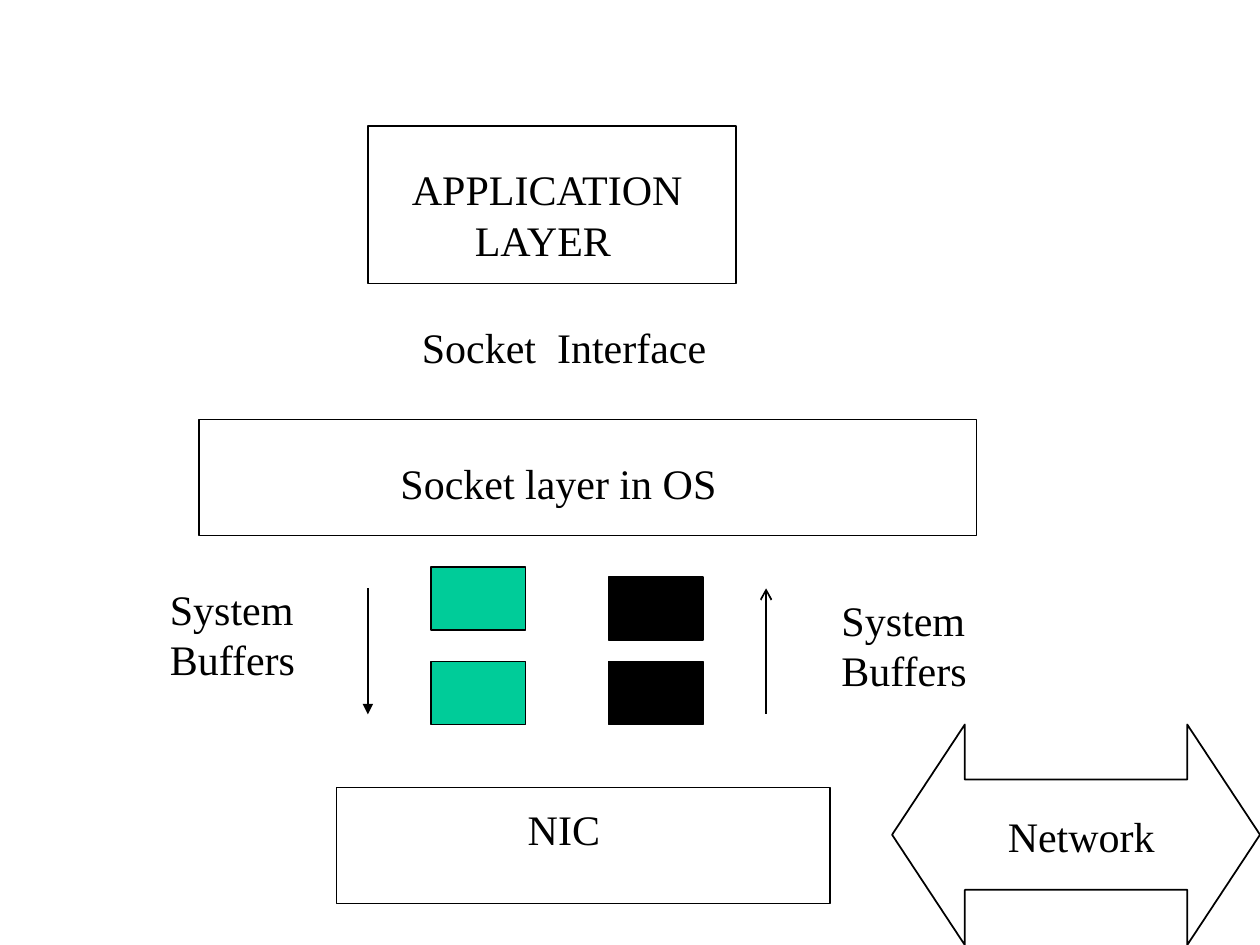
from pptx import Presentation
from pptx.util import Inches, Pt
from pptx.dml.color import RGBColor
from pptx.enum.shapes import MSO_SHAPE, MSO_CONNECTOR
from pptx.enum.text import MSO_AUTO_SIZE
from pptx.oxml.ns import qn
from lxml.etree import SubElement

INK = {"black": "000000", "green": "00CC99"}
FONT = "Times New Roman"

LAYERS = [
    (2.92, 1, 2.92, 1.25),
    (1.58, 3.33, 6.17, 0.92),
    (2.67, 6.25, 3.92, 0.92),
]
NETWORK = (7.08, 5.75, 2.92, 1.75)
BUFFER = (0.75, 0.5)
STACKS = [(3.42, (4.5, 5.25), "green"), (4.83, (4.58, 5.25), "black")]
FLOWS = [(2.92, "tailEnd", "triangle"), (6.08, "headEnd", "arrow")]
FLOW_TOP, FLOW_END = 4.67, 5.67
LABELS = [
    (3.17, 1.25, 2.38, [("APPLICATION", 0), ("LAYER", 0.5)]),
    (3.25, 2.5, 2.54, [("Socket  Interface", 0)]),
    (3.08, 3.58, 2.79, [("Socket layer in OS", 0)]),
    (4.09, 6.33, 0.86, [("NIC", 0)]),
    (7.9, 6.38, 1.4, [("Network", 0)]),
    (1.25, 4.58, 1.22, [("System", 0), ("Buffers", 0)]),
    (6.58, 4.67, 1.22, [("System", 0), ("Buffers", 0)]),
]


def color(name):
    return RGBColor.from_string(INK[name])


def outline(item):
    item.line.color.rgb = color("black")
    item.line.width = Pt(1)


def block(slide, kind, box, fill=None):
    shape = slide.shapes.add_shape(kind, *map(Inches, box))
    shape.shadow.inherit = False
    if fill:
        shape.fill.solid()
        shape.fill.fore_color.rgb = color(fill)
    else:
        shape.fill.background()
    outline(shape)
    return shape


def flow(slide, x, end, head):
    ends = map(Inches, (x, FLOW_TOP, x, FLOW_END))
    line = slide.shapes.add_connector(MSO_CONNECTOR.STRAIGHT, *ends)
    outline(line)
    SubElement(line.line._get_or_add_ln(), qn(f"a:{end}"), type=head)
    SubElement(line._element.spPr, qn("a:effectLst"))


def label(slide, x, y, width, rows):
    height = 0.1 + 0.4 * len(rows)
    box = slide.shapes.add_textbox(*map(Inches, (x, y, width, height)))
    frame = box.text_frame
    frame.word_wrap = False
    frame.auto_size = MSO_AUTO_SIZE.SHAPE_TO_FIT_TEXT
    frame.text = "\n".join(text for text, _ in rows)
    for para, (_, indent) in zip(frame.paragraphs, rows):
        if indent:
            para._p.get_or_add_pPr().set("marL", str(Inches(indent)))
        for run in para.runs:
            run.font.name = FONT
            run.font.size = Pt(24)
            run.font.color.rgb = color("black")


def main():
    deck = Presentation()
    deck.slide_width, deck.slide_height = Inches(10), Inches(7.5)
    slide = deck.slides.add_slide(deck.slide_layouts[6])
    for box in LAYERS:
        block(slide, MSO_SHAPE.RECTANGLE, box)
    arrow = block(slide, MSO_SHAPE.LEFT_RIGHT_ARROW, NETWORK)
    arrow.adjustments[0] = 0.5
    arrow.adjustments[1] = 0.33
    for x, tops, fill in STACKS:
        for y in tops:
            block(slide, MSO_SHAPE.RECTANGLE, (x, y, *BUFFER), fill)
    for item in FLOWS:
        flow(slide, *item)
    for item in LABELS:
        label(slide, *item)
    deck.save("out.pptx")


if __name__ == "__main__":
    main()
